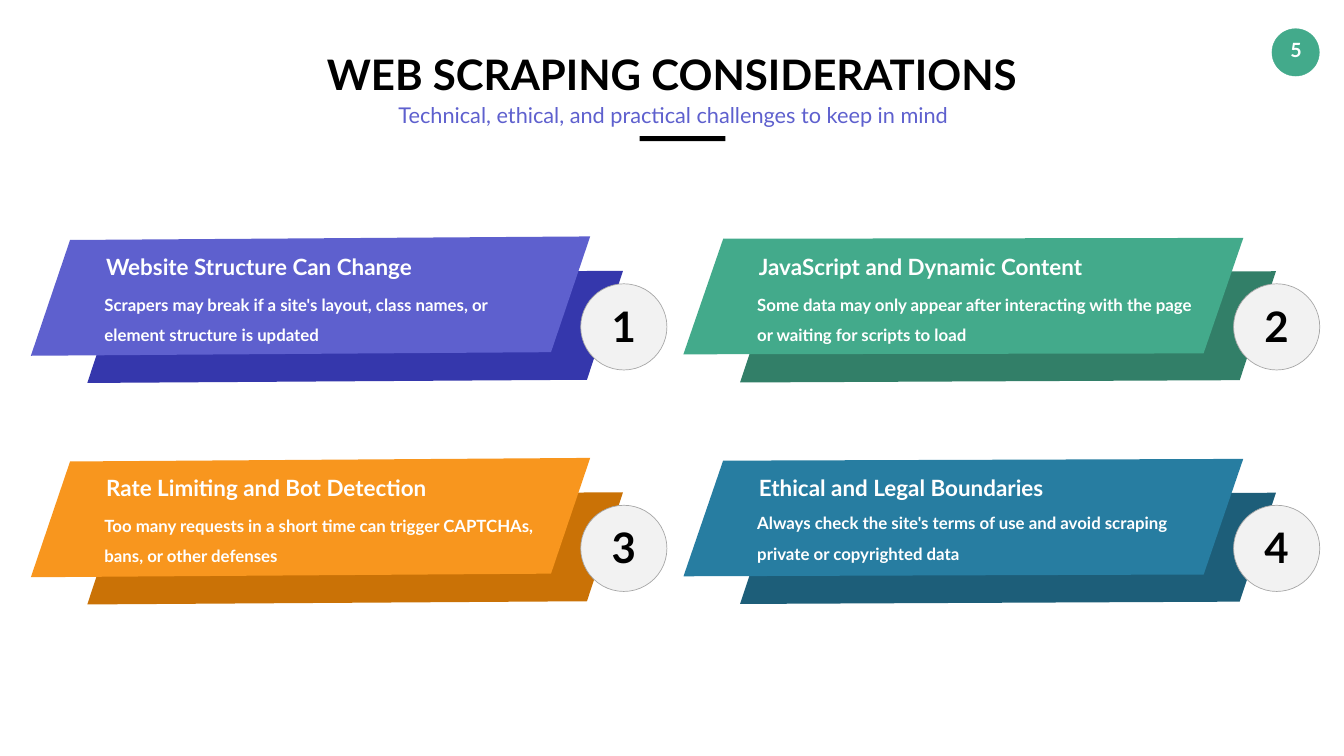
from dataclasses import dataclass

from lxml import etree
from pptx import Presentation
from pptx.dml.color import RGBColor
from pptx.enum.shapes import MSO_SHAPE
from pptx.enum.text import MSO_ANCHOR, MSO_AUTO_SIZE, PP_ALIGN
from pptx.oxml.ns import qn
from pptx.util import Pt

LEFT, CENTER = PP_ALIGN.LEFT, PP_ALIGN.CENTER
TOP, MIDDLE, BOTTOM = MSO_ANCHOR.TOP, MSO_ANCHOR.MIDDLE, MSO_ANCHOR.BOTTOM
FIT_SHAPE = MSO_AUTO_SIZE.SHAPE_TO_FIT_TEXT
ELLIPSE, RECTANGLE = MSO_SHAPE.OVAL, MSO_SHAPE.RECTANGLE
PARALLELOGRAM = MSO_SHAPE.PARALLELOGRAM


@dataclass(frozen=True)
class Theme:
    font: str = "Lato"
    ink: str = "000000"
    white: str = "FFFFFF"
    accent: str = "5E60CE"
    page_badge: str = "43AA8B"
    number_fill: str = "F2F2F2"
    number_line: str = "A6A6A6"
    title_size: float = 60
    subtitle_size: float = 31
    heading_size: float = 32
    body_size: float = 24
    page_size: float = 28


THEME = Theme()

TITLE = "WEB SCRAPING CONSIDERATIONS"
SUBTITLE = "Technical, ethical, and practical challenges to keep in mind"
PAGE_NUMBER = "5"

# heading, body, front colour, back colour, front tilt, back tilt, body top in card
CARDS = [
    ("Website Structure Can Change",
     "Scrapers may break if a site's layout, class names, or element structure is updated",
     "5E60CE", "3537AC", 108.7, 108.3, 397.4),
    ("JavaScript and Dynamic Content",
     "Some data may only appear after interacting with the page or waiting for scripts to load",
     "43AA8B", "327F68", 109, 108.4, 397.4),
    ("Rate Limiting and Bot Detection",
     "Too many requests in a short time can trigger CAPTCHAs, bans, or other defenses",
     "F8961E", "CA7206", 108.7, 108.3, 397.4),
    ("Ethical and Legal Boundaries",
     "Always check the site's terms of use and avoid scraping private or copyrighted data",
     "277DA1", "1D5E79", 108.9, 108.4, 393.5),
]
COLUMNS = 2
COLUMN_STEP, ROW_STEP = 932.4, 316.4

NARROW_INSETS = (7.2, 3.6)
WIDE_INSETS = (17.28, 8.64)


def color(value):
    return RGBColor.from_string(value)


def add_shape(slide, kind, box, fill, line=None, line_width=1):
    shape = slide.shapes.add_shape(kind, *map(Pt, box))
    shape.shadow.inherit = False
    shape.fill.solid()
    shape.fill.fore_color.rgb = color(fill)
    if line:
        shape.line.color.rgb = color(line)
        shape.line.width = Pt(line_width)
    else:
        shape.line.fill.background()
    return shape


def add_slanted_bar(slide, box, fill, tilt):
    bar = add_shape(slide, PARALLELOGRAM, box, fill)
    bar.adjustments[0] = 0.582
    bar.rotation = tilt
    bar.element.spPr.find(qn("a:xfrm")).set("flipV", "1")


def set_relative_space_before(paragraph, percent):
    """Space before as a share of the line height, which python-pptx cannot set."""
    paragraph.space_before = Pt(0)
    space = paragraph._p.pPr.find(qn("a:spcBef"))
    space.remove(space[0])
    etree.SubElement(space, qn("a:spcPct")).set("val", str(percent * 1000))


def write_text(shape, text, *, size, ink=THEME.white, bold=True, align=LEFT,
               anchor=TOP, insets=NARROW_INSETS, wrap=True, grow=True,
               line_spacing=None, before_percent=None, after=None):
    frame = shape.text_frame
    frame.word_wrap = wrap
    frame.vertical_anchor = anchor
    frame.margin_left = frame.margin_right = Pt(insets[0])
    frame.margin_top = frame.margin_bottom = Pt(insets[1])
    if grow:
        frame.auto_size = FIT_SHAPE
    paragraph = frame.paragraphs[0]
    paragraph.alignment = align
    if line_spacing:
        paragraph.line_spacing = line_spacing
    if before_percent:
        set_relative_space_before(paragraph, before_percent)
    if after:
        paragraph.space_after = Pt(after)
    run = paragraph.add_run()
    run.text = text
    run.font.name = THEME.font
    run.font.size = Pt(size)
    run.font.bold = bold
    run.font.color.rgb = color(ink)


def add_text(slide, box, text, **text_format):
    write_text(slide.shapes.add_textbox(*map(Pt, box)), text, **text_format)


def add_page_number(slide):
    add_shape(slide, ELLIPSE, (1816.6, 41, 67.7, 67.7), THEME.page_badge,
              THEME.page_badge, 0.5)
    add_text(slide, (1819.4, 47.5, 63.4, 48.2), PAGE_NUMBER, size=THEME.page_size,
             align=CENTER, insets=(14.4, 7.2), wrap=False)


def add_card(slide, index, card):
    heading, body, front, back, front_tilt, back_tilt, body_top = card
    row, column = divmod(index, COLUMNS)

    def place(left, top, width, height):
        return left + column * COLUMN_STEP, top + row * ROW_STEP, width, height

    add_slanted_bar(slide, place(311, 128.9, 392.4, 676.1), back, back_tilt)
    add_slanted_bar(slide, place(234.7, 72, 417.6, 702), front, front_tilt)
    number = add_shape(slide, ELLIPSE, place(829.4, 405.4, 123.1, 123.1),
                       THEME.number_fill, THEME.number_line)
    write_text(number, str(index + 1), size=THEME.title_size, ink=THEME.ink,
               align=CENTER, anchor=MIDDLE, insets=(7.2, 0), grow=False)
    number.text_frame.margin_bottom = Pt(3.6)
    add_text(slide, place(144.4, 358, 515.5, 46.1), heading, size=THEME.heading_size)
    add_text(slide, place(131.8, body_top, 657.4, 98.6), body, size=THEME.body_size,
             insets=WIDE_INSETS, line_spacing=1.5, before_percent=20, after=12)


def add_header(slide):
    add_text(slide, (452.2, 65.5, 1014.5, 79.9), TITLE, size=THEME.title_size,
             ink=THEME.ink, align=CENTER, anchor=BOTTOM, wrap=False)
    add_shape(slide, RECTANGLE, (913.7, 194.4, 122.4, 7.2), THEME.ink)
    add_text(slide, (547.9, 128.9, 826.6, 57.6), SUBTITLE, size=THEME.subtitle_size,
             ink=THEME.accent, bold=False, align=CENTER, insets=WIDE_INSETS,
             wrap=False, line_spacing=1.2, before_percent=20)


def main():
    presentation = Presentation()
    presentation.slide_width, presentation.slide_height = Pt(1919.52), Pt(1080)
    slide = presentation.slides.add_slide(presentation.slide_layouts[6])
    add_page_number(slide)
    for index, card in enumerate(CARDS):
        add_card(slide, index, card)
    add_header(slide)
    presentation.save("out.pptx")


if __name__ == "__main__":
    main()
